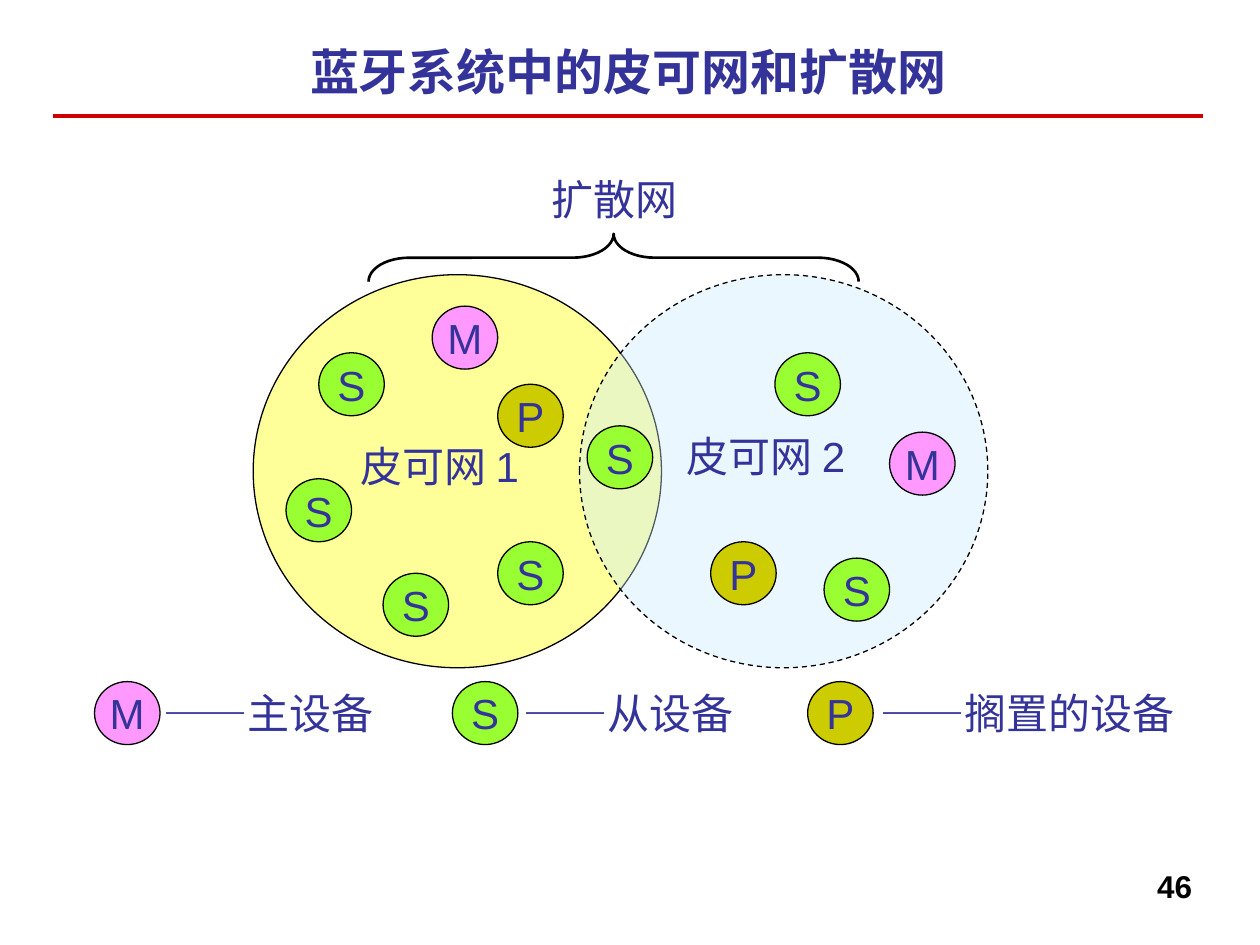
import pptx
import pptx.util
import pptx.dml.color
import pptx.enum.dml
import pptx.enum.shapes
import pptx.enum.text
import pptx.oxml.ns
from lxml import etree

Inches, Pt = pptx.util.Inches, pptx.util.Pt
KIND = pptx.enum.shapes.MSO_SHAPE
ALIGN = pptx.enum.text.PP_ALIGN
ANCHOR = pptx.enum.text.MSO_ANCHOR
FIT = pptx.enum.text.MSO_AUTO_SIZE
qn = pptx.oxml.ns.qn

THEME = {
    "ink": "333399", "black": "000000", "rule": "CC0000",
    "M": "FF99FF", "S": "99FF33", "P": "CCCC00",
    "font": "Arial", "head": "Times New Roman", "key": "Lato",
    "title": 28, "text": 24, "page": 18,
}

TITLE = "蓝牙系统中的皮可网和扩散网"
PAGE = "46"
# left, fill, opacity in percent, dashed
NETS = [(2.01, "FFFF99", 100, False), (4.6, "CCECFF", 39, True)]
NET_TOP, NET_W, NET_H = 2.18, 3.24, 3.12
NODE_W, NODE_H = 0.52, 0.5
# role, left, top
NODES = [
    ("M", 3.43, 2.43), ("M", 7.06, 3.43),
    ("S", 2.27, 3.8), ("S", 2.53, 2.8), ("S", 4.66, 3.38),
    ("S", 3.95, 4.3), ("S", 3.04, 4.55), ("S", 6.54, 4.43),
    ("S", 6.15, 2.8), ("P", 5.64, 4.3), ("P", 3.95, 3.05),
]
# text, left, top, width
LABELS = [
    ("皮可网 2", 5.35, 3.37, 1.54),
    ("扩散网", 4.28, 1.33, 1.2),
    ("皮可网 1", 2.76, 3.45, 1.54),
]
KEY_TOP = 5.41
# role, node left, text, text left, text width
KEYS = [
    ("M", 0.75, "——主设备", 1.2, 1.9),
    ("S", 3.59, "——从设备", 4.06, 1.9),
    ("P", 6.41, "——搁置的设备", 6.89, 2.57),
]


def rgb(code):
    return pptx.dml.color.RGBColor.from_string(code)


def write(para, text, size, color=THEME["ink"], face=THEME["font"], bold=False):
    run = para.add_run()
    run.text = text
    font = run.font
    font.name, font.size, font.bold = face, Pt(size), bold
    font.color.rgb = rgb(color)


def stroke(shape, color, width):
    shape.line.color.rgb = rgb(color)
    shape.line.width = Pt(width)


def oval(slide, left, top, width, height, fill):
    shape = slide.shapes.add_shape(
        KIND.OVAL, Inches(left), Inches(top), Inches(width), Inches(height))
    shape.shadow.inherit = False
    shape.fill.solid()
    shape.fill.fore_color.rgb = rgb(fill)
    stroke(shape, THEME["black"], 0.75)
    return shape


def add_net(slide, left, fill, opaque, dashed):
    shape = oval(slide, left, NET_TOP, NET_W, NET_H, fill)
    if opaque < 100:
        tint = shape.fill._xPr.find(qn("a:solidFill"))[0]
        etree.SubElement(tint, qn("a:alpha")).set("val", str(opaque * 1000))
    if dashed:
        shape.line.dash_style = pptx.enum.dml.MSO_LINE.DASH


def add_node(slide, role, left, top):
    frame = oval(slide, left, top, NODE_W, NODE_H, THEME[role]).text_frame
    frame.word_wrap = False
    frame.vertical_anchor = ANCHOR.MIDDLE
    para = frame.paragraphs[0]
    para.alignment = ALIGN.CENTER
    write(para, role, THEME["text"])


def add_label(slide, text, left, top, width, face=THEME["font"]):
    box = slide.shapes.add_textbox(
        Inches(left), Inches(top), Inches(width), Inches(0.5))
    frame = box.text_frame
    frame.word_wrap = False
    frame.auto_size = FIT.SHAPE_TO_FIT_TEXT
    para = frame.paragraphs[0]
    para.alignment = ALIGN.LEFT
    write(para, text, THEME["text"], face=face)


def add_rule(slide):
    y = Inches(0.92)
    rule = slide.shapes.add_connector(
        pptx.enum.shapes.MSO_CONNECTOR.STRAIGHT, Inches(0.42), y, Inches(9.55), y)
    stroke(rule, THEME["rule"], 2)
    etree.SubElement(rule._element.spPr, qn("a:effectLst"))


def add_title(slide):
    title = slide.shapes.title
    title.left, title.top = Inches(0.42), Inches(0.25)
    title.width, title.height = Inches(9.13), Inches(0.67)
    frame = title.text_frame
    frame.word_wrap = True
    frame.auto_size = FIT.NONE
    frame.vertical_anchor = ANCHOR.MIDDLE
    frame.margin_top = 0
    para = frame.paragraphs[0]
    para.alignment = ALIGN.CENTER
    write(para, TITLE, THEME["title"], face=THEME["head"], bold=True)


def add_brace(slide):
    brace = slide.shapes.add_shape(
        KIND.LEFT_BRACE, Inches(4.68), Inches(0.1), Inches(0.38), Inches(3.89))
    brace.rotation = 90
    brace.adjustments[0] = 0.85
    brace.shadow.inherit = False
    brace.fill.background()
    stroke(brace, THEME["black"], 1.5)


def add_page(slide):
    box = slide.shapes.add_textbox(
        Inches(7.23), Inches(6.83), Inches(2.33), Inches(0.52))
    box.text_frame.word_wrap = True
    para = box.text_frame.paragraphs[0]
    para.alignment = ALIGN.RIGHT
    write(para, PAGE, THEME["page"], THEME["black"], bold=True)


def main():
    deck = pptx.Presentation()
    deck.slide_width, deck.slide_height = Inches(10), Inches(7.5)
    slide = deck.slides.add_slide(deck.slide_layouts[5])
    add_rule(slide)
    add_title(slide)
    for net in NETS:
        add_net(slide, *net)
    for node in NODES:
        add_node(slide, *node)
    for label in LABELS:
        add_label(slide, *label)
    add_brace(slide)
    for role, left, text, start, width in KEYS:
        add_node(slide, role, left, KEY_TOP)
        add_label(slide, text, start, KEY_TOP, width, THEME["key"])
    add_page(slide)
    deck.save("out.pptx")


if __name__ == "__main__":
    main()
